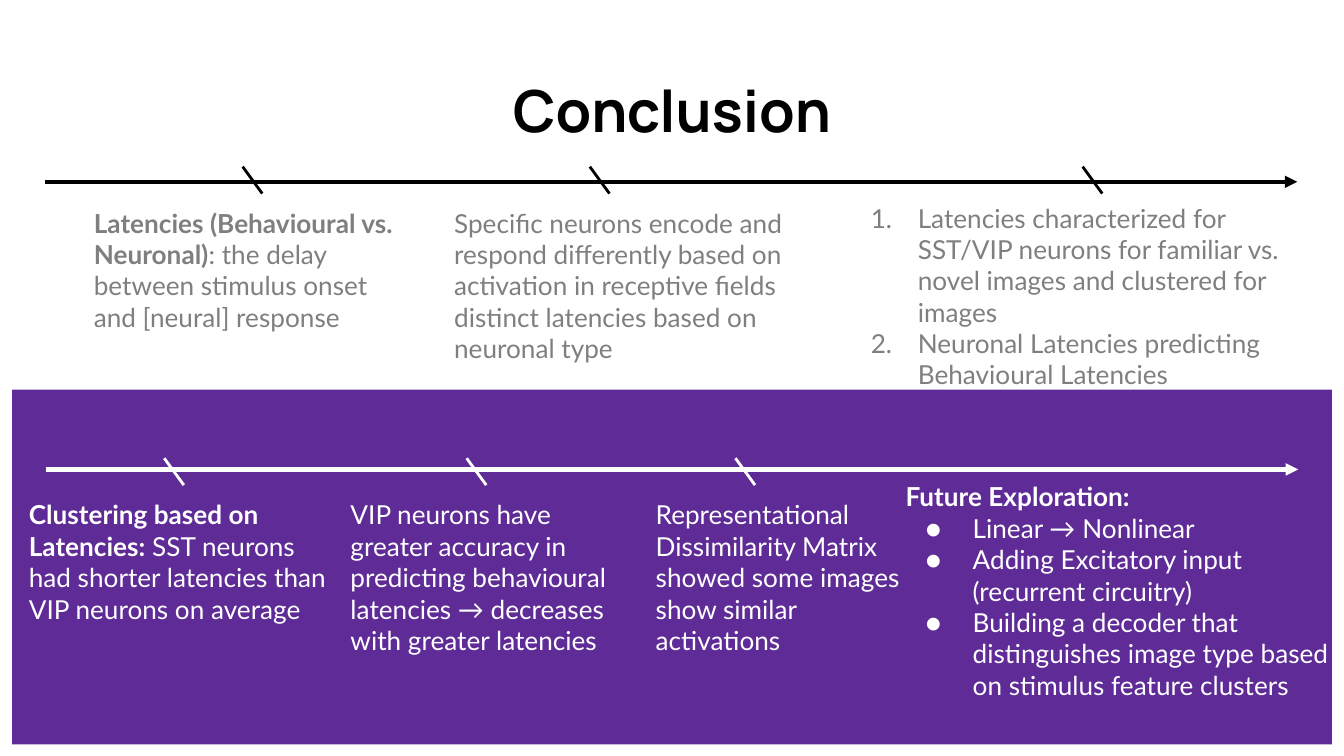
import pptx
import pptx.dml.color
import pptx.enum.shapes
import pptx.enum.text
import pptx.oxml.ns
import pptx.util
from lxml import etree

Pt = pptx.util.Pt
qn = pptx.oxml.ns.qn
ENUM = pptx.enum.text
COLORS = {"black": "000000", "gray": "7F7F7F", "white": "FFFFFF", "purple": "5E2B97"}


def color(name):
    return pptx.dml.color.RGBColor.from_string(COLORS[name])


def add_mark(para, mark, hue):
    """Give a paragraph a bullet character, or a number when mark is '1.'."""
    props = para._p.get_or_add_pPr()
    props.set("marL", str(Pt(36)))
    props.set("indent", str(-Pt(25.2)))
    tint = etree.SubElement(props, qn("a:buClr"))
    etree.SubElement(tint, qn("a:srgbClr"), val=COLORS[hue])
    etree.SubElement(props, qn("a:buFont"), typeface="Lato")
    if mark == "1.":
        etree.SubElement(props, qn("a:buAutoNum"), type="arabicPeriod")
    else:
        etree.SubElement(props, qn("a:buChar"), char=mark)


def add_text(slide, box, paras, hue="gray", size=14, face="Lato",
             align=ENUM.PP_ALIGN.LEFT, anchor=ENUM.MSO_ANCHOR.TOP):
    """Each paragraph is (mark, bold part, plain part)."""
    frame = slide.shapes.add_textbox(*map(Pt, box)).text_frame
    frame.word_wrap = True
    frame.vertical_anchor = anchor
    frame.margin_left = frame.margin_right = Pt(7.2)
    frame.margin_top = frame.margin_bottom = Pt(7.2)
    for i, (mark, strong, plain) in enumerate(paras):
        para = frame.paragraphs[0] if i == 0 else frame.add_paragraph()
        para.alignment = align
        if mark:
            add_mark(para, mark, hue)
        for words, bold in ((strong, True), (plain, False)):
            if words:
                run = para.add_run()
                run.text = words
                font = run.font
                font.name, font.size, font.bold = face, Pt(size), bold
                font.color.rgb = color(hue)


def add_line(slide, start, end, hue, width, arrow=False):
    kind = pptx.enum.shapes.MSO_CONNECTOR.STRAIGHT
    line = slide.shapes.add_connector(kind, *map(Pt, start + end))
    line.line.color.rgb = color(hue)
    line.line.width = Pt(width)
    if arrow:
        etree.SubElement(line.line._get_or_add_ln(), qn("a:tailEnd"), type="triangle")
    etree.SubElement(line._element.spPr, qn("a:effectLst"))


def add_axis(slide, left, y, hue, top, ticks):
    """Draw a timeline arrow with slanted ticks."""
    add_line(slide, (left, y), (left + 671, y), hue, 2.25, arrow=True)
    for x in ticks:
        add_line(slide, (x, top), (x + 10.5, top + 14.4), hue, 1.5)


def add_band(slide):
    kind = pptx.enum.shapes.MSO_SHAPE.RECTANGLE
    band = slide.shapes.add_shape(kind, Pt(6.5), Pt(208.8), Pt(707), Pt(190))
    band.shadow.inherit = False
    band.fill.solid()
    band.fill.fore_color.rgb = color("purple")
    band.line.fill.background()


def main():
    deck = pptx.Presentation()
    deck.slide_width, deck.slide_height = Pt(720), Pt(405)
    slide = deck.slides.add_slide(deck.slide_layouts[6])

    # Background band and title
    add_band(slide)
    add_text(slide, (24.5, 35.3, 671, 49), [("", "Conclusion", "")], hue="black",
             size=31, face="Manrope", align=ENUM.PP_ALIGN.CENTER,
             anchor=ENUM.MSO_ANCHOR.BOTTOM)

    # Upper timeline
    add_axis(slide, 24, 97.4, "black", 89.3, (130, 316, 580))
    add_text(slide, (43.2, 103.7, 180, 54), [
        ("", "Latencies (Behavioural vs. Neuronal)",
         ": the delay between stimulus onset and [neural] response")])
    add_text(slide, (236.2, 103.7, 212.4, 54), [
        ("", "", "Specific neurons encode and respond differently based on "
         "activation in receptive fields distinct latencies based on neuronal type")])
    add_text(slide, (448.6, 101, 262, 54), [
        ("1.", "", "Latencies characterized for SST/VIP neurons for familiar vs. "
         "novel images and clustered for images"),
        ("1.", "", "Neuronal Latencies predicting Behavioural Latencies")])

    # Lower timeline
    add_axis(slide, 24.5, 251.5, "white", 245.5, (88, 250, 394))
    add_text(slide, (8.4, 260, 180, 54), [
        ("", "Clustering based on Latencies:",
         " SST neurons had shorter latencies than VIP neurons on average")], hue="white")
    add_text(slide, (180.7, 260, 160, 54), [
        ("", "", "VIP neurons have greater accuracy in predicting behavioural "
         "latencies → decreases with greater latencies")], hue="white")
    add_text(slide, (344.2, 260, 160, 54), [
        ("", "", "Representational Dissimilarity Matrix showed some images "
         "show similar activations")], hue="white")
    add_text(slide, (478, 250.4, 242, 54), [
        ("", "Future Exploration:", ""),
        ("●", "", "Linear → Nonlinear"),
        ("●", "", "Adding Excitatory input (recurrent circuitry)"),
        ("●", "", "Building a decoder that distinguishes image type based on "
         "stimulus feature clusters")], hue="white")

    deck.save("out.pptx")


if __name__ == "__main__":
    main()
